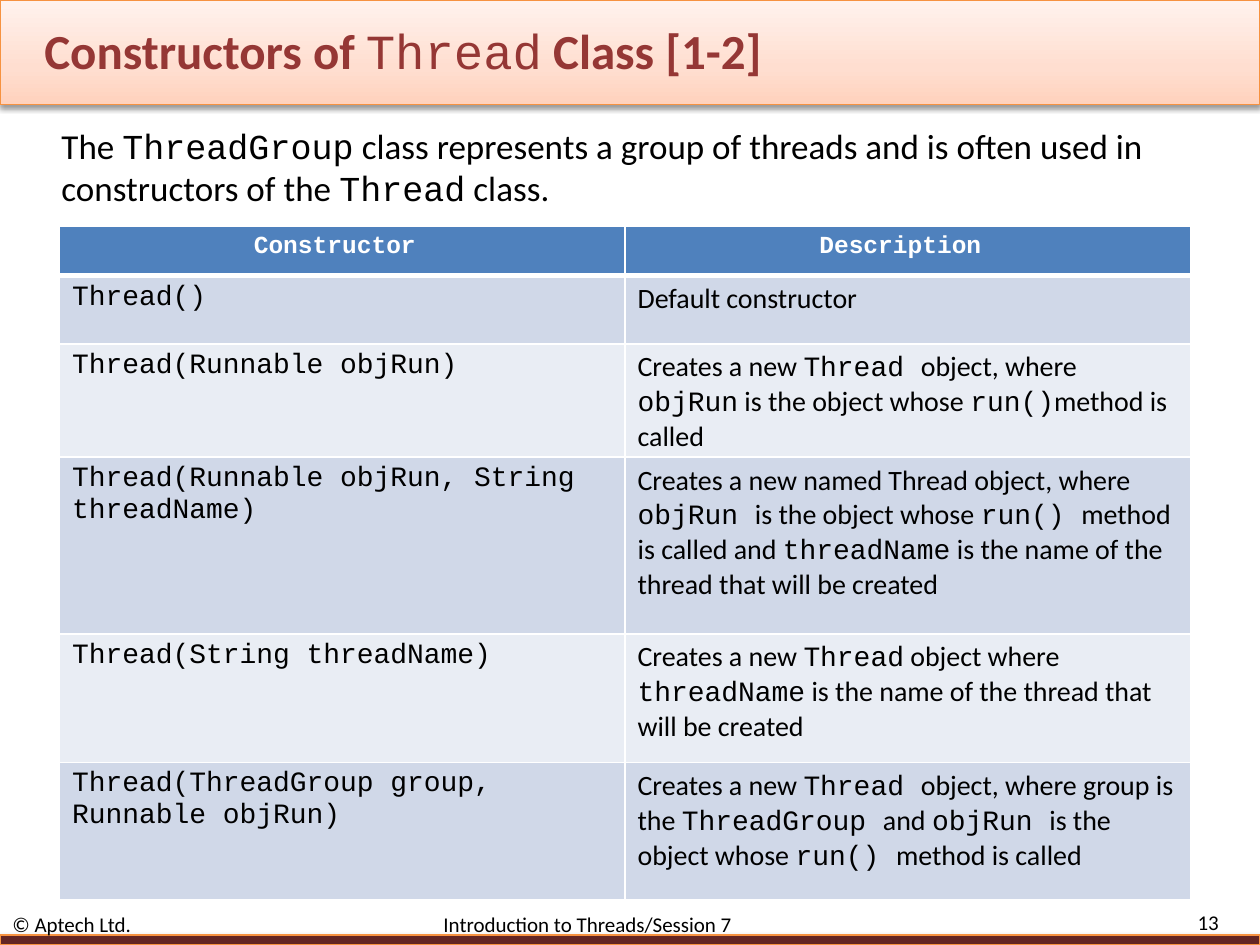
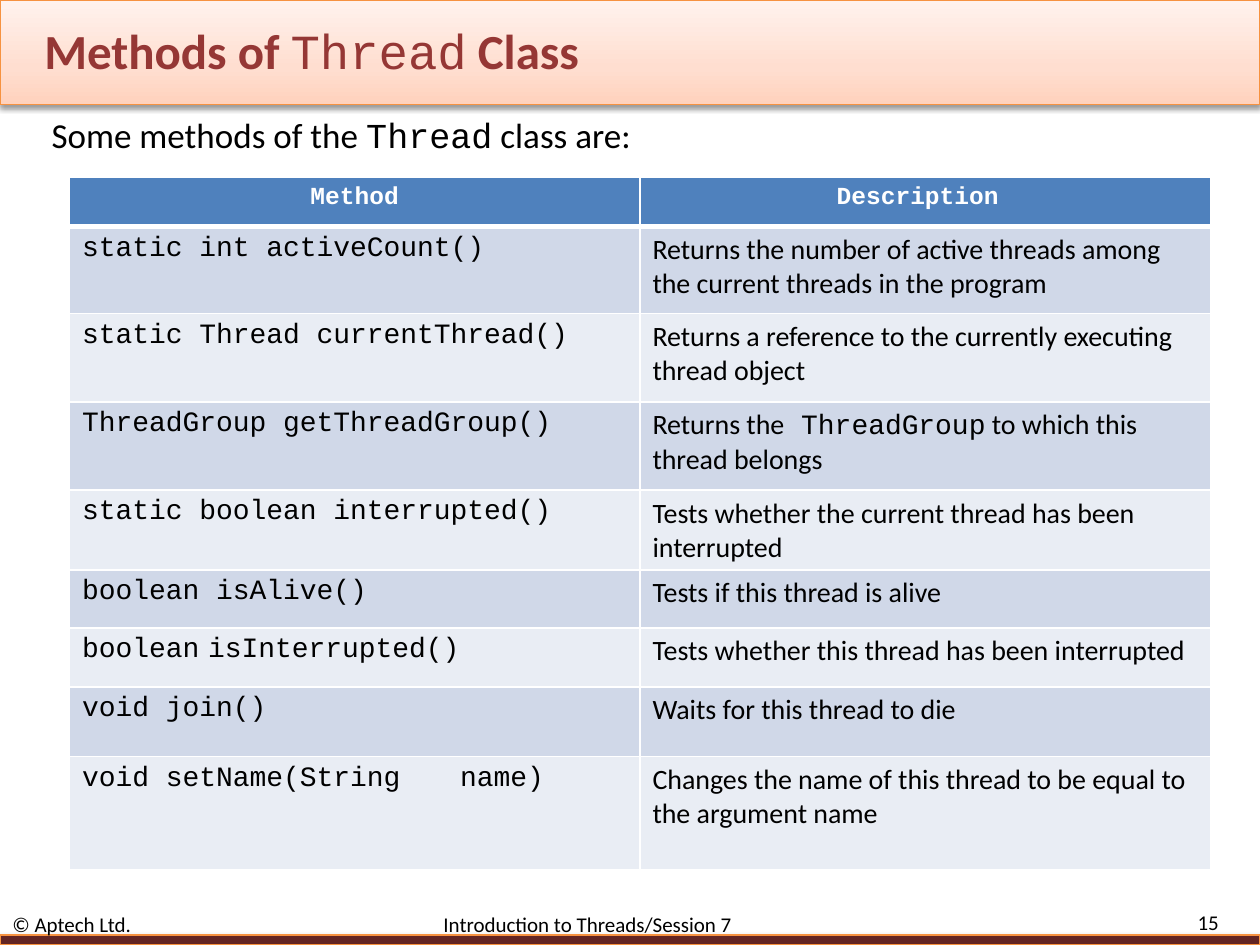
from copy import deepcopy

from lxml.etree import SubElement
from pptx import Presentation
from pptx.dml.color import RGBColor as Rgb
from pptx.enum.shapes import MSO_SHAPE as Shape
from pptx.enum.text import MSO_ANCHOR as Anchor
from pptx.enum.text import MSO_AUTO_SIZE as AutoSize
from pptx.enum.text import PP_ALIGN as Align
from pptx.oxml.ns import qn
from pptx.util import Cm, Pt

COLORS = {
    "title": "953735",
    "maroon": "632523",
    "orange": "F69240",
    "header": "4F81BD",
    "odd_row": "D0D8E8",
    "even_row": "E9EDF4",
    "white": "FFFFFF",
    "black": "000000",
}
BAND_STOPS = [(0, "FFD2BD"), (0.35, "FFDED0"), (1, "FFF2ED")]
PLAIN_FONT, CODE_FONT = "Calibri", "Courier New"
PAGE_WIDTH, PAGE_HEIGHT = 25.4, 19.05

TITLE = {"size": Pt(28), "bold": True}
INTRO = {"size": Pt(20)}
FOOTER = {"size": Pt(12)}
HEADING = {"size": Pt(14), "bold": True}
BODY = {"size": Pt(16), "bold": False}

CONSTRUCTORS = [
    ("`Constructor `", "`Description `"),
    ("`Thread()`", "Default constructor"),
    ("`Thread(Runnable objRun)`",
     "Creates a new `Thread `object, where `objRun` is the object whose `run()`method is called"),
    ("`Thread(Runnable objRun, String threadName)`",
     "Creates a new named Thread object, where `objRun `is the object whose `run() `method is "
     "called and `threadName` is the name of the thread that will be created"),
    ("`Thread(String threadName)`",
     "Creates a new `Thread` object where `threadName` is the name of the thread that will be created"),
    ("`Thread(ThreadGroup group, Runnable objRun)`",
     "Creates a new `Thread `object, where group is the `ThreadGroup `and `objRun `is the object "
     "whose `run() `method is called"),
]
METHODS = [
    ("`Method`", "`Description `"),
    ("`static int activeCount()`",
     "Returns the number of active threads among the current threads in the program"),
    ("`static Thread currentThread()`",
     "Returns a reference to the currently executing thread object"),
    ("`ThreadGroup getThreadGroup()`",
     "Returns the` ThreadGroup` to which this thread belongs"),
    ("`static boolean interrupted()`",
     "Tests whether the current thread has been interrupted"),
    ("`boolean isAlive()`", "Tests if this thread is alive"),
    ("`boolean\tisInterrupted()`", "Tests whether this thread has been interrupted"),
    ("`void join()`", "Waits for this thread to die"),
    ("`void setName(String\tname)`",
     "Changes the name of this thread to be equal to the argument name"),
]


def color(name):
    return Rgb.from_string(COLORS[name])


def apply(target, values):
    for name, value in values.items():
        setattr(target, name, value)


def write(para, text, style, ink="black"):
    for index, part in enumerate(text.split("`")):
        if part:
            span = para.add_run()
            span.text = part
            apply(span.font, {**style, "name": CODE_FONT if index % 2 else PLAIN_FONT})
            span.font.color.rgb = color(ink)


def place(shape, left, top, width, height):
    apply(shape, {"left": Cm(left), "top": Cm(top), "width": Cm(width), "height": Cm(height)})


def add_text(page, area, text, style, anchor=Anchor.TOP, **layout):
    box = page.shapes.add_textbox(*map(Cm, area))
    apply(box.text_frame, {"word_wrap": True, "vertical_anchor": anchor})
    para = box.text_frame.paragraphs[0]
    apply(para, layout)
    write(para, text, style)
    return para


def add_line(parent, tag, points, name):
    line = SubElement(parent, qn(tag), w=str(Pt(points)))
    fill = SubElement(line, qn("a:solidFill"))
    SubElement(fill, qn("a:srgbClr"), val=COLORS[name])
    return line


def add_bar(page, top, height, opacity):
    bar = page.shapes.add_shape(Shape.RECTANGLE, 0, Cm(top), Cm(PAGE_WIDTH), Cm(height))
    bar.fill.solid()
    bar.fill.fore_color.rgb = color("maroon")
    bar.line.color.rgb = color("orange")
    bar.line.width = Pt(0.75)
    bar.shadow.inherit = False
    effects = bar.element.spPr.find(qn("a:effectLst"))
    shadow = SubElement(effects, qn("a:outerShdw"), blurRad=str(Pt(3.1)), dist=str(Pt(1.7)),
                        dir="5400000", rotWithShape="0")
    tint = SubElement(shadow, qn("a:srgbClr"), val=COLORS["black"])
    SubElement(tint, qn("a:alpha"), val=str(opacity * 1000))
    return bar


def add_title_band(page):
    band = add_bar(page, 0, 2.11, 38)
    band.fill.gradient()
    band.fill.gradient_angle = 90
    stops = band.element.spPr.find(".//" + qn("a:gsLst"))
    stops.append(deepcopy(stops[0]))
    for stop, (position, tone) in zip(band.fill.gradient_stops, BAND_STOPS):
        stop.position = position
        stop.color.rgb = Rgb.from_string(tone)


def add_title(page, text):
    title = page.shapes.title
    title.element.getparent().append(title.element)
    place(title, 0.64, 0.43, 21.16, 1.14)
    apply(title.text_frame, {"auto_size": AutoSize.NONE, "vertical_anchor": Anchor.MIDDLE,
                             "word_wrap": True})
    para = title.text_frame.paragraphs[0]
    para.alignment = Align.LEFT
    write(para, text, TITLE, "title")
    for span in para.runs:
        if span.font.name == CODE_FONT:
            span.font.bold = False
        properties = span.font.fill and span._r.get_or_add_rPr()
        properties.insert(0, add_line(properties, "a:ln", 0.75, "maroon"))


def add_footer(page, number):
    add_bar(page, 18.85, PAGE_HEIGHT - 18.85, 35)
    para = add_text(page, (0, 18.42, 22.43, 0.43), "© Aptech Ltd.\tIntroduction to Threads/Session 7",
                    FOOTER, Anchor.MIDDLE)
    tabs = SubElement(para._p.get_or_add_pPr(), qn("a:tabLst"))
    SubElement(tabs, qn("a:tab"), pos=str(Cm(8.69)), algn="l")
    add_text(page, (22.66, 18.36, 2.16, 0.46), str(number), FOOTER, Anchor.MIDDLE,
             alignment=Align.RIGHT)


def fill_cell(cell, text, row):
    properties = cell._tc.get_or_add_tcPr()
    widths = {"L": 1, "R": 1, "T": 3 if row == 1 else 1, "B": 1 if row else 3}
    for side, points in widths.items():
        add_line(properties, "a:ln" + side, points, "white")
    cell.fill.solid()
    para = cell.text_frame.paragraphs[0]
    if row == 0:
        cell.fill.fore_color.rgb = color("header")
        para.alignment = Align.CENTER
        write(para, text, HEADING, "white")
    else:
        cell.fill.fore_color.rgb = color("odd_row" if row % 2 else "even_row")
        write(para, text, BODY)


def add_grid(page, left, top, width, heights, rows):
    frame = page.shapes.add_table(len(rows), 2, Cm(left), Cm(top), Cm(width), Cm(sum(heights)))
    table = frame.table
    table.horz_banding = False
    for column in table.columns:
        column.width = Cm(width / 2)
    for index, (height, texts) in enumerate(zip(heights, rows)):
        table.rows[index].height = Cm(height)
        for cell, text in zip(table.rows[index].cells, texts):
            fill_cell(cell, text, index)


def add_page(deck, title, number):
    page = deck.slides.add_slide(deck.slide_layouts[5])
    add_title_band(page)
    add_title(page, title)
    add_footer(page, number)
    return page


def main():
    deck = Presentation()
    apply(deck, {"slide_width": Cm(PAGE_WIDTH), "slide_height": Cm(PAGE_HEIGHT)})

    page = add_page(deck, "Constructors of `Thread` Class [1-2]", 13)
    add_text(page, (0.99, 2.39, 22.63, 1.96),
             "The `ThreadGroup` class represents a group of threads and is often used in "
             "constructors of the `Thread` class.", INTRO)
    add_grid(page, 1.2, 4.57, 22.8, [0.99, 1.37, 2.26, 3.56, 2.59, 2.77], CONSTRUCTORS)

    page = add_page(deck, "Methods of `Thread` Class", 15)
    add_text(page, (0.79, 2.39, 23.62, 0.86), "Some methods of the `Thread` class are:",
             INTRO, line_spacing=0.7)
    add_grid(page, 1.4, 3.58, 23, [0.99, 1.75, 1.78, 1.78, 1.6, 1.17, 1.19, 1.4, 2.29], METHODS)

    deck.save("out.pptx")


if __name__ == "__main__":
    main()
